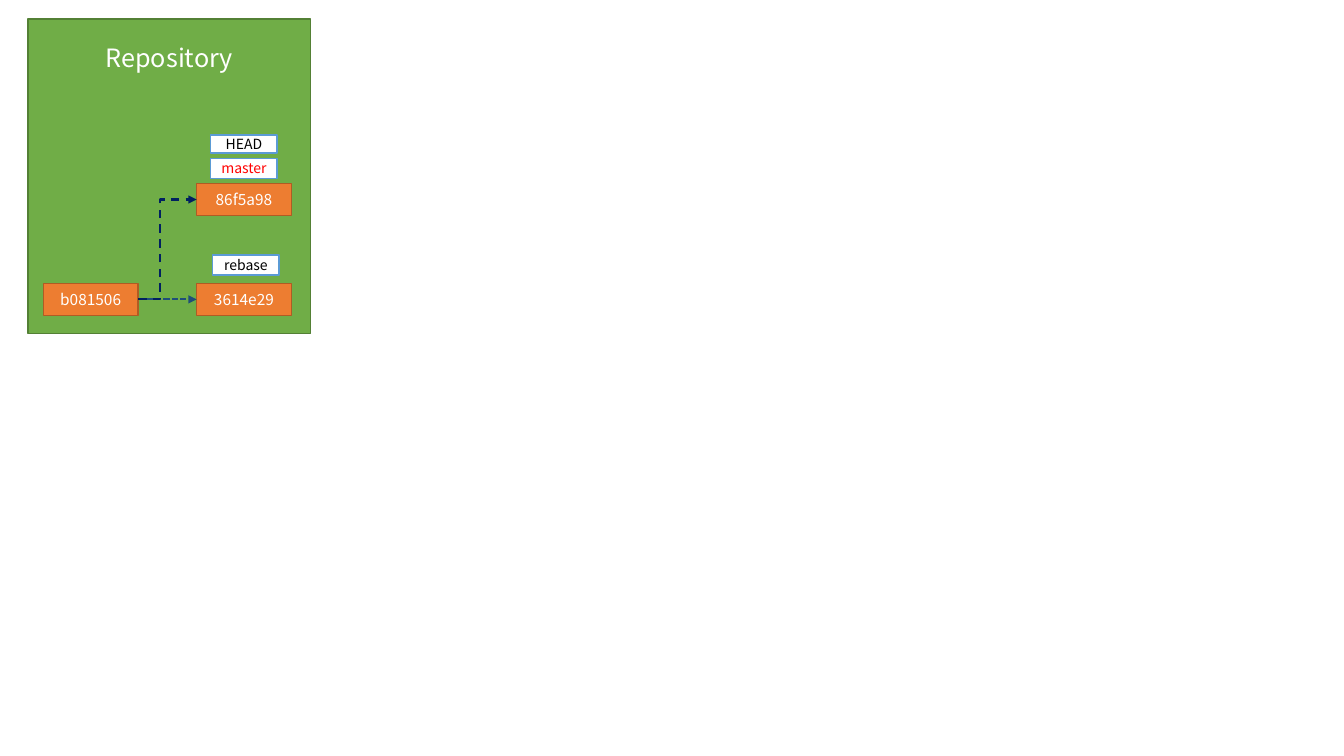
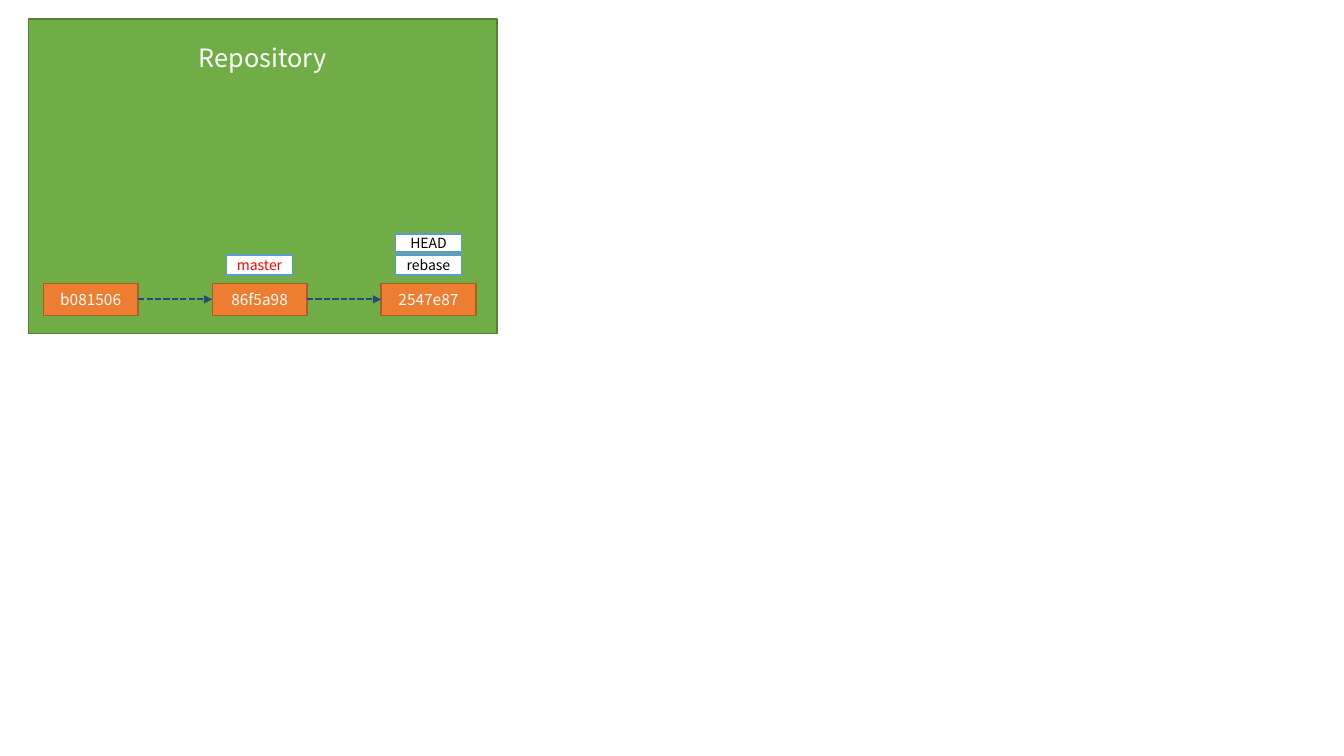
from lxml import etree
from pptx import Presentation
from pptx.dml.color import RGBColor
from pptx.enum.dml import MSO_LINE
from pptx.enum.shapes import MSO_CONNECTOR, MSO_SHAPE
from pptx.enum.text import MSO_ANCHOR, PP_ALIGN
from pptx.oxml.ns import qn
from pptx.util import Inches, Pt

RECTANGLE = MSO_SHAPE.RECTANGLE
STRAIGHT, ELBOW = MSO_CONNECTOR.STRAIGHT, MSO_CONNECTOR.ELBOW
SHORT_DASH, LONG_DASH = MSO_LINE.SQUARE_DOT, MSO_LINE.DASH
MIDDLE, CENTER = MSO_ANCHOR.MIDDLE, PP_ALIGN.CENTER
LEFT_SITE, RIGHT_SITE = 1, 3

# Each commit: column, row above the base line, labels as (name, inset, rise).
# Each link: parent and child commit.
DIAGRAMS = [
    {
        "width": 2.8,
        "column_pitch": 1.52,
        "commits": {
            "b081506": (0, 0, []),
            "3614e29": (1, 0, [("rebase", 0.16, 0.28)]),
            "86f5a98": (1, 1, [("HEAD", 0.14, 0.48), ("master", 0.14, 0.25)]),
        },
        "links": [("b081506", "3614e29"), ("b081506", "86f5a98")],
    },
    {
        "width": 4.65,
        "column_pitch": 1.675,
        "commits": {
            "b081506": (0, 0, []),
            "86f5a98": (1, 0, [("master", 0.14, 0.28)]),
            "2547e87": (2, 0, [("HEAD", 0.14, 0.49), ("rebase", 0.14, 0.28)]),
        },
        "links": [("b081506", "86f5a98"), ("86f5a98", "2547e87")],
    },
]
TITLE = "Repository"
FONT = "Noto Sans CJK KR"

# Fill, outline, text colour and text size of each kind of box.
STYLES = {
    "panel": ("70AD47", "538035", "FFFFFF", 18),
    "title": ("70AD47", None, "FFFFFF", 18),
    "commit": ("ED7D31", "AF5C24", "FFFFFF", 11),
    "label": ("FFFFFF", "5B9BD5", "000000", 10),
    "current": ("FFFFFF", "5B9BD5", "FF0000", 10),
}
LABELS = {"HEAD": ("label", 0.18), "rebase": ("label", 0.2), "master": ("current", 0.2)}

PANEL_LEFT, PANEL_TOP, PANEL_HEIGHT = 0.28, 0.19, 3.12
TITLE_TOP, TITLE_HEIGHT, TITLE_INSET_SHARE = 0.24, 0.65, 0.107
COMMIT_LEFT, COMMIT_TOP, ROW_PITCH = 0.43, 2.81, 0.99
COMMIT_WIDTH, COMMIT_HEIGHT, LABEL_WIDTH = 0.94, 0.32, 0.66
BEND_SHARE = 37400  # of 100000


def color(value):
    """Turn a hex string into a colour."""
    return RGBColor.from_string(value)


def add_box(shapes, style, left, top, width, height, text=""):
    """Add a styled rectangle with centred text."""
    fill, outline, text_color, size = STYLES[style]
    box = shapes.add_shape(RECTANGLE, *map(Inches, (left, top, width, height)))
    box.shadow.inherit = False
    box.fill.solid()
    box.fill.fore_color.rgb = color(fill)
    if outline:
        box.line.color.rgb = color(outline)
        box.line.width = Pt(1)
    else:
        box.line.fill.background()
    if text:
        frame = box.text_frame
        frame.margin_left = frame.margin_right = frame.margin_top = frame.margin_bottom = 0
        frame.vertical_anchor = MIDDLE
        frame.text = text
        para = frame.paragraphs[0]
        para.alignment = CENTER
        font = para.runs[0].font
        font.name, font.size, font.color.rgb = FONT, Pt(size), color(text_color)
    return box


def add_panel(page, width):
    """Add the grouped repository panel and its title."""
    group = page.shapes.add_group_shape()
    inset = width * TITLE_INSET_SHARE
    add_box(group.shapes, "panel", PANEL_LEFT, PANEL_TOP, width, PANEL_HEIGHT)
    add_box(group.shapes, "title", PANEL_LEFT + inset, TITLE_TOP,
            width - 2 * inset, TITLE_HEIGHT, TITLE)


def add_commit(page, name, column_pitch, column, row, labels):
    """Add a commit with the labels above it and return its box."""
    left = COMMIT_LEFT + column * column_pitch
    top = COMMIT_TOP - row * ROW_PITCH
    for label, inset, rise in labels:
        style, height = LABELS[label]
        add_box(page.shapes, style, left + inset, top - rise, LABEL_WIDTH, height, label)
    return add_box(page.shapes, "commit", left, top, COMMIT_WIDTH, COMMIT_HEIGHT, name)


def add_link(page, parent, child):
    """Connect two commits with a dashed arrow, bent when their rows differ."""
    bent = parent.top != child.top
    link = page.shapes.add_connector(ELBOW if bent else STRAIGHT, 0, 0, 0, 0)
    link.begin_connect(parent, RIGHT_SITE)
    link.end_connect(child, LEFT_SITE)
    link.line.color.rgb = color("002060" if bent else "1F4E79")
    link.line.width = Pt(1.5)
    link.line.dash_style = LONG_DASH if bent else SHORT_DASH
    properties = link._element.spPr
    etree.SubElement(properties.find(qn("a:ln")), qn("a:tailEnd"), type="triangle")
    etree.SubElement(properties, qn("a:effectLst"))
    if bent:
        adjustments = properties.find(qn("a:prstGeom")).find(qn("a:avLst"))
        etree.SubElement(adjustments, qn("a:gd"), name="adj1", fmla=f"val {BEND_SHARE}")


def build_page(deck, diagram):
    """Add one slide that shows a commit diagram."""
    page = deck.slides.add_slide(deck.slide_layouts[6])
    add_panel(page, diagram["width"])
    boxes = {name: add_commit(page, name, diagram["column_pitch"], *place)
             for name, place in diagram["commits"].items()}
    for parent, child in diagram["links"]:
        add_link(page, boxes[parent], boxes[child])


deck = Presentation()
deck.slide_width, deck.slide_height = Inches(13.33), Inches(7.5)
for diagram in DIAGRAMS:
    build_page(deck, diagram)
deck.save("out.pptx")
